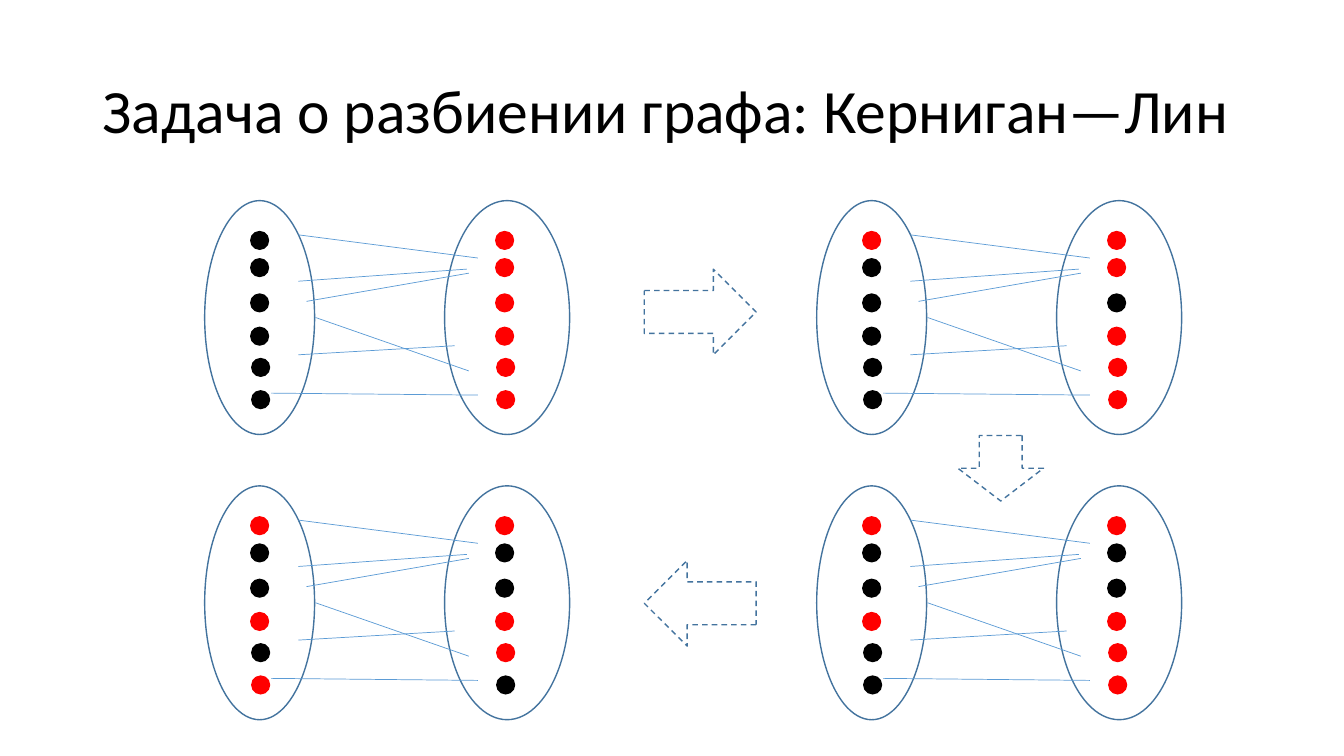
from lxml import etree
from pptx import Presentation
from pptx import util as u
from pptx.dml.color import RGBColor
from pptx.enum import dml, shapes, text
from pptx.oxml.ns import qn

PX = 9144  # EMU per px, 100 px to the inch
OUTLINE, EDGE, RED, BLACK = "43739E", "5B9BD5", "FF0000", "000000"


def color(value):
    return RGBColor.from_string(value)


def add_figure(kind, *bounds, fill=None, line=None):
    figure = page.shapes.add_shape(kind, *(v * PX for v in bounds))
    figure.shadow.inherit = False
    if fill:
        figure.fill.solid()
        figure.fill.fore_color.rgb = color(fill)
    else:
        figure.fill.background()
    if line:
        figure.line.color.rgb = color(line)
        figure.line.width = u.Pt(1)
    else:
        figure.line.fill.background()
    return figure


deck = Presentation()
deck.slide_width, deck.slide_height = 1333 * PX, 750 * PX
page = deck.slides.add_slide(deck.slide_layouts[6])

# Title
box = page.shapes.add_textbox(92 * PX, 40 * PX, 1150 * PX, 145 * PX)
box.text_frame.word_wrap = True
box.text_frame.vertical_anchor = text.MSO_ANCHOR.MIDDLE
para = box.text_frame.paragraphs[0]
para.line_spacing = 0.9
span = para.add_run()
span.text = "Задача о разбиении графа: Керниган—Лин"
for name, value in {"name": "Calibri", "size": u.Pt(44)}.items():
    setattr(span.font, name, value)
span.font.color.rgb = color(BLACK)

# Geometry of one partition, as placed in the top left
PARTS = [(203, 199, 109, 232), (441, 199, 124, 232)]
EDGES = [
    (296, 233, 474, 256), (304, 299, 465, 271), (296, 352, 451, 343),
    (269, 390, 474, 392), (313, 315, 465, 368), (296, 279, 463, 267),
]
DOT_SIZE = 19
DOT_LEFTS = [248, 491]
DOTS = [(0, 229), (0, 256), (0, 291), (0, 324), (1, 355), (1, 387)]
COLUMN_STEP, ROW_STEP = 607, 283

# Steps of the algorithm: column, row, left dots, right dots (R red, B black)
STEPS = [
    (0, 0, "BBBBBB", "RRRRRR"),
    (1, 0, "RBBBBB", "RRBRRR"),
    (1, 1, "RBBRBB", "RBBRRR"),
    (0, 1, "RBBRBR", "RBBRRB"),
]
for column, row, *sides in STEPS:
    dx, dy = column * COLUMN_STEP, row * ROW_STEP
    for left, top, width, height in PARTS:
        add_figure(shapes.MSO_SHAPE.OVAL, left + dx, top + dy, width, height, line=OUTLINE)
    for x1, y1, x2, y2 in EDGES:
        ends = (x1 + dx, y1 + dy, x2 + dx, y2 + dy)
        edge = page.shapes.add_connector(
            shapes.MSO_CONNECTOR.STRAIGHT, *(v * PX for v in ends))
        edge.line.color.rgb = color(EDGE)
        edge.line.width = u.Pt(0.5)
        etree.SubElement(edge.element.spPr, qn("a:effectLst"))
    for left, side in zip(DOT_LEFTS, sides):
        for (shift, top), letter in zip(DOTS, side):
            add_figure(shapes.MSO_SHAPE.OVAL, left + shift + dx, top + dy,
                       DOT_SIZE, DOT_SIZE, fill=RED if letter == "R" else BLACK)

# Dashed arrows between the steps
ARROWS = [
    (639, 267, 111, 85, 0),
    (960, 422, 65, 85, 90),
    (639, 556, 111, 85, 180),
]
for *bounds, angle in ARROWS:
    arrow = add_figure(shapes.MSO_SHAPE.RIGHT_ARROW, *bounds, line=OUTLINE)
    arrow.line.dash_style = dml.MSO_LINE.DASH
    arrow.rotation = angle

deck.save("out.pptx")
